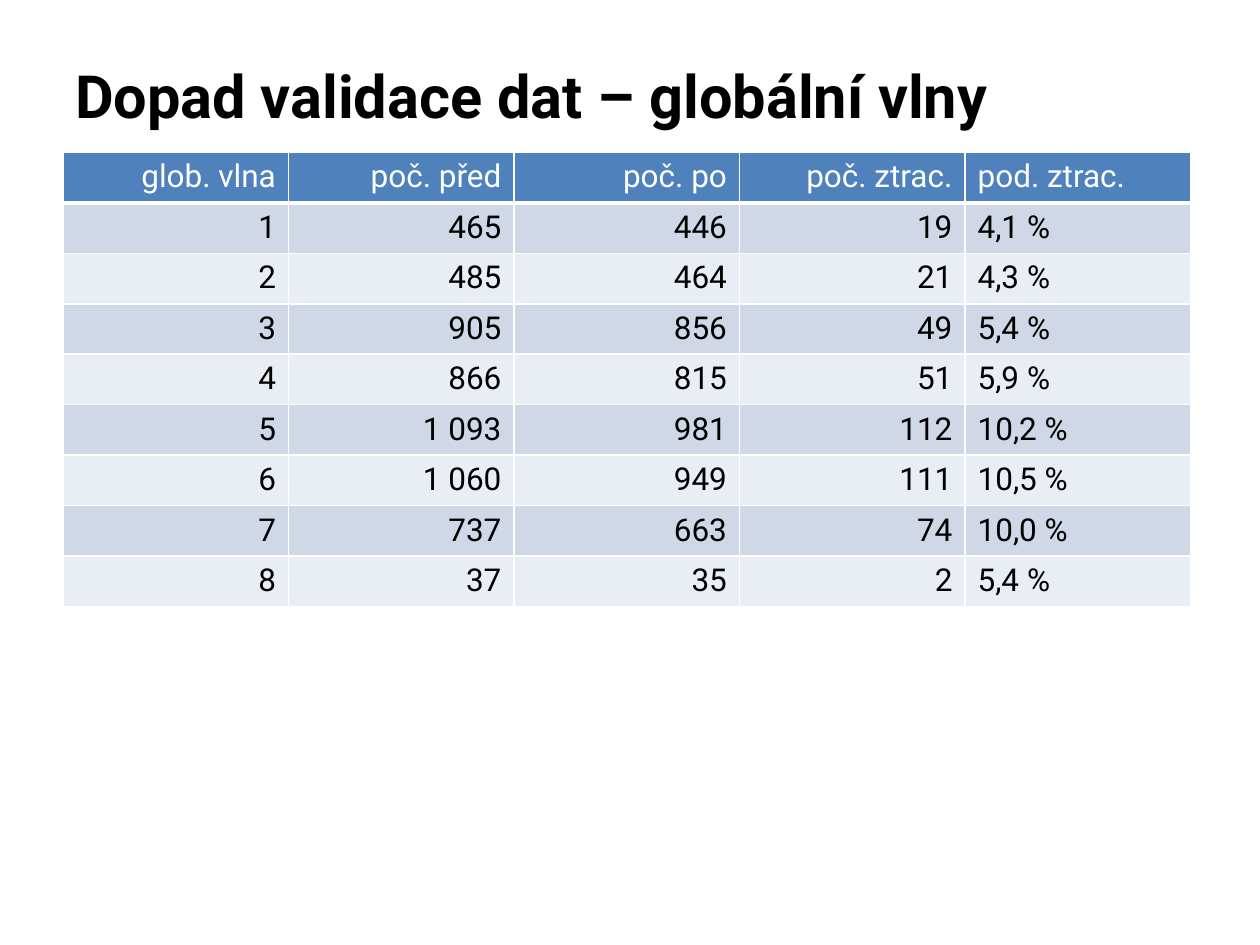
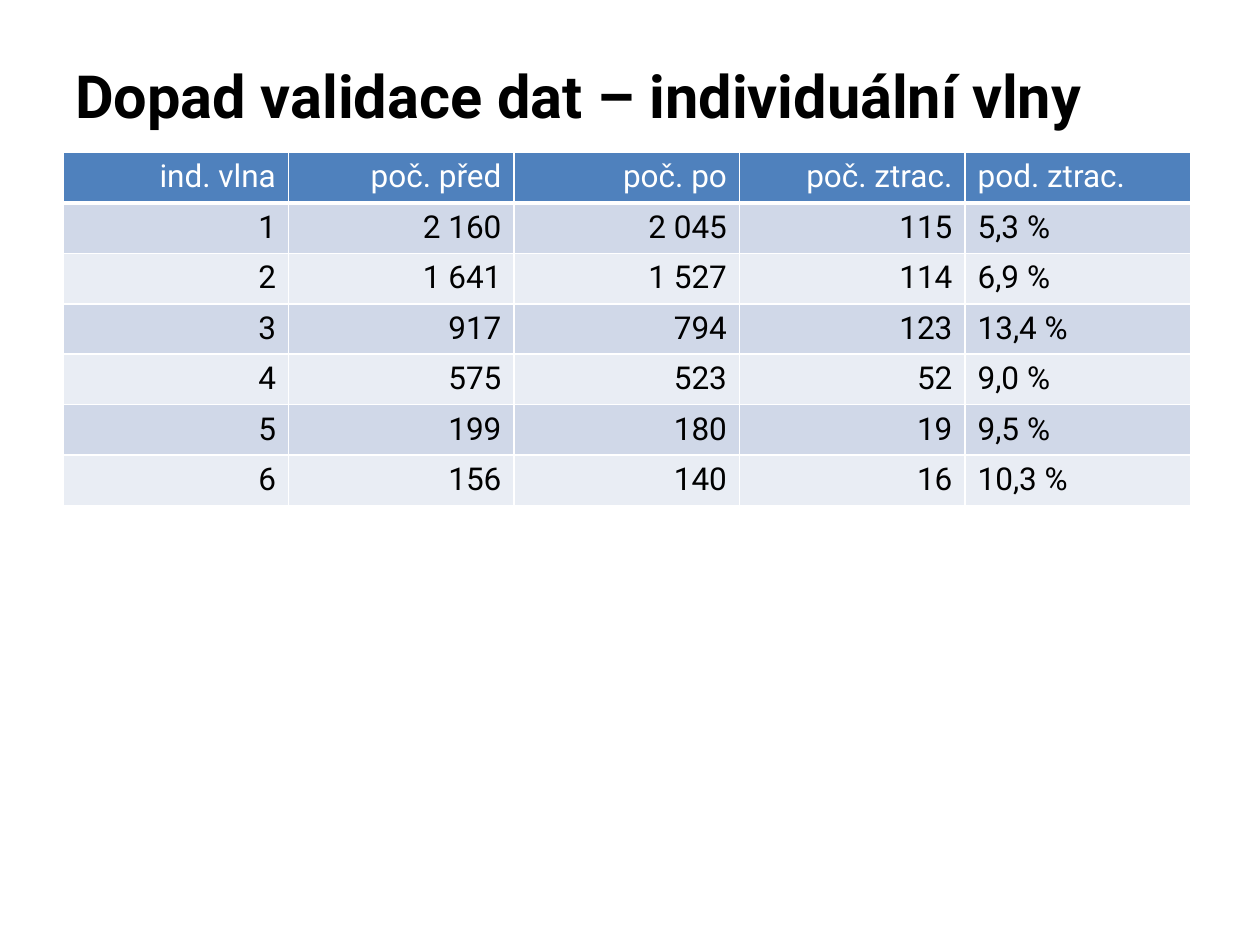
from dataclasses import dataclass
from typing import Any

import lxml.etree
import pptx
import pptx.dml.color
import pptx.enum.text
import pptx.oxml.ns
import pptx.presentation
import pptx.slide
import pptx.table
import pptx.text.text
import pptx.util

Inches = pptx.util.Inches
Pt = pptx.util.Pt
RGBColor = pptx.dml.color.RGBColor
ALIGN = pptx.enum.text.PP_ALIGN

BLACK = RGBColor(0x00, 0x00, 0x00)
WHITE = RGBColor(0xFF, 0xFF, 0xFF)
HEADER_BLUE = RGBColor(0x4F, 0x81, 0xBD)
BAND_DARK = RGBColor(0xD0, 0xD8, 0xE8)
BAND_LIGHT = RGBColor(0xE9, 0xED, 0xF4)

LEFT = Inches(0.5)
TITLE_TOP = Inches(0.3)
TITLE_WIDTH = Inches(9)
TITLE_HEIGHT = Inches(0.91)
TABLE_TOP = TITLE_TOP + TITLE_HEIGHT
COLUMN_WIDTH = Inches(1.79)
ROW_HEIGHT = Inches(0.39)

TITLE_FONT = {"name": "Roboto", "size": Pt(34), "bold": True}
CELL_FONT = {"name": "Roboto", "size": Pt(18), "bold": False}
COUNT_HEADERS = ["poč. před", "poč. po", "poč. ztrac.", "pod. ztrac."]


@dataclass(frozen=True)
class WaveSummary:
    title: str
    wave_header: str
    before_after: list[tuple[int, int]]


SUMMARIES = [
    WaveSummary(
        "Dopad validace dat – globální vlny",
        "glob. vlna",
        [(465, 446), (485, 464), (905, 856), (866, 815),
         (1093, 981), (1060, 949), (737, 663), (37, 35)],
    ),
    WaveSummary(
        "Dopad validace dat – individuální vlny",
        "ind. vlna",
        [(2160, 2045), (1641, 1527), (917, 794),
         (575, 523), (199, 180), (156, 140)],
    ),
]


def format_count(count: int) -> str:
    return f"{count:,}".replace(",", " ")


def wave_row(wave: int, before: int, after: int) -> list[str]:
    lost = before - after
    share = f"{lost / before:.1%}".replace(".", ",").replace("%", " %")
    return [*map(format_count, (wave, before, after, lost)), share]


def write_text(frame: pptx.text.text.TextFrame, text: str, font: dict[str, Any],
               color: RGBColor, alignment: ALIGN) -> None:
    paragraph = frame.paragraphs[0]
    paragraph.alignment = alignment
    run = paragraph.add_run()
    run.text = text
    for attribute, value in font.items():
        setattr(run.font, attribute, value)
    run.font.color.rgb = color


def add_borders(cell: pptx.table._Cell, bottom_width: int) -> None:
    properties = cell._tc.get_or_add_tcPr()
    widths = {"lnL": Pt(1), "lnR": Pt(1), "lnT": Pt(1), "lnB": bottom_width}
    for side, width in widths.items():
        line = lxml.etree.SubElement(
            properties, pptx.oxml.ns.qn(f"a:{side}"), w=str(width))
        fill = lxml.etree.SubElement(line, pptx.oxml.ns.qn("a:solidFill"))
        lxml.etree.SubElement(
            fill, pptx.oxml.ns.qn("a:srgbClr"), val=str(WHITE))


def add_title(slide: pptx.slide.Slide, title: str) -> None:
    frame = slide.shapes.add_textbox(
        LEFT, TITLE_TOP, TITLE_WIDTH, TITLE_HEIGHT).text_frame
    frame.word_wrap = True
    frame.vertical_anchor = pptx.enum.text.MSO_ANCHOR.MIDDLE
    write_text(frame, title, TITLE_FONT, BLACK, ALIGN.LEFT)


def add_wave_table(slide: pptx.slide.Slide, summary: WaveSummary) -> None:
    rows = [[summary.wave_header, *COUNT_HEADERS]]
    rows += [wave_row(wave, before, after)
             for wave, (before, after) in enumerate(summary.before_after, 1)]
    column_count = len(rows[0])
    table = slide.shapes.add_table(
        len(rows), column_count, LEFT, TABLE_TOP,
        COLUMN_WIDTH * column_count, ROW_HEIGHT * len(rows)).table
    for row_index, row in enumerate(rows):
        is_header = row_index == 0
        band = BAND_DARK if row_index % 2 else BAND_LIGHT
        for column_index, text in enumerate(row):
            is_share = column_index == column_count - 1
            cell = table.cell(row_index, column_index)
            add_borders(cell, Pt(3) if is_header else Pt(1))
            cell.fill.solid()
            cell.fill.fore_color.rgb = HEADER_BLUE if is_header else band
            write_text(cell.text_frame, text, CELL_FONT,
                       WHITE if is_header else BLACK,
                       ALIGN.LEFT if is_share else ALIGN.RIGHT)


def add_summary_slide(deck: pptx.presentation.Presentation,
                      summary: WaveSummary) -> None:
    slide = deck.slides.add_slide(deck.slide_layouts[6])
    add_title(slide, summary.title)
    add_wave_table(slide, summary)


def main() -> None:
    deck = pptx.Presentation()
    deck.slide_width = Inches(10)
    deck.slide_height = Inches(7.5)
    for summary in SUMMARIES:
        add_summary_slide(deck, summary)
    deck.save("out.pptx")


if __name__ == "__main__":
    main()
